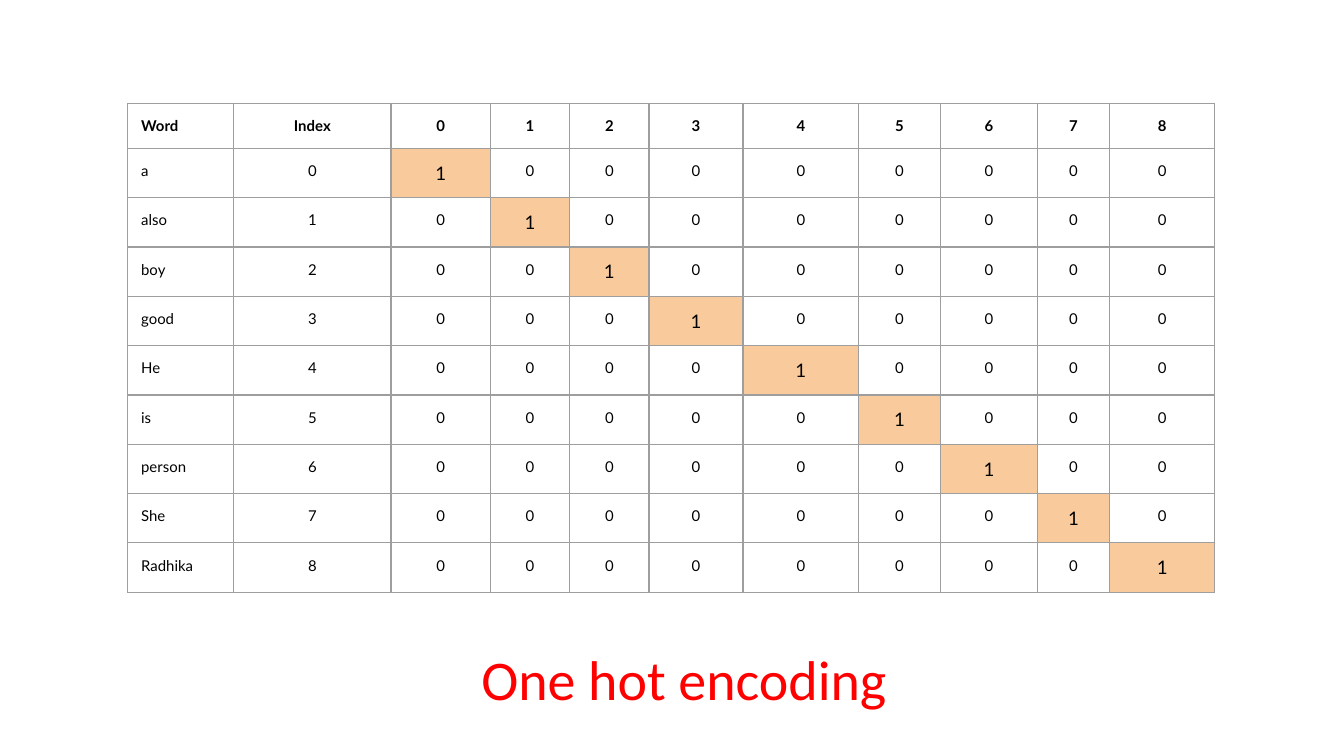
from lxml import etree
from pptx import Presentation
from pptx.dml.color import RGBColor
from pptx.enum import text
from pptx.oxml import ns
from pptx.util import Inches, Pt

BLACK = RGBColor(0x00, 0x00, 0x00)
RED = RGBColor(0xFF, 0x00, 0x00)
ORANGE = RGBColor(0xF9, 0xCB, 0x9C)
GREY = RGBColor(0x9E, 0x9E, 0x9E)

WORDS = ["a", "also", "boy", "good", "He", "is", "person", "She", "Radhika"]
WIDTHS = [0.79, 1.17, 0.74, 0.59, 0.59, 0.7, 0.86, 0.61, 0.72, 0.54, 0.78]
MARGINS = ("margin_left", "margin_top", "margin_right", "margin_bottom")


def write(p, value, color, formats):
    r = p.add_run()
    r.text = value
    for name, setting in formats.items():
        setattr(r.font, name, setting)
    r.font.color.rgb = color


def add_borders(cell):
    tcPr = cell._tc.get_or_add_tcPr()
    for i, side in enumerate(("a:lnL", "a:lnR", "a:lnT", "a:lnB")):
        ln = etree.Element(ns.qn(side), w=str(Pt(0.75)))
        fill = etree.SubElement(ln, ns.qn("a:solidFill"))
        etree.SubElement(fill, ns.qn("a:srgbClr"), val=str(GREY))
        tcPr.insert(i, ln)


prs = Presentation()
prs.slide_width = Inches(10)
prs.slide_height = Inches(10) * 9 // 16
s = prs.slides.add_slide(prs.slide_layouts[6])

rows = [["Word", "Index"] + [str(i) for i in range(len(WORDS))]]
for i, word in enumerate(WORDS):
    rows.append([word, str(i)] + ["1" if j == i else "0" for j in range(len(WORDS))])

sp = s.shapes.add_table(len(rows), len(WIDTHS), Inches(0.95), Inches(0.77), Inches(8.1), Inches(3.63))
table = sp.table
table.first_row = False
table.horz_banding = False
for column, width in zip(table.columns, WIDTHS):
    column.width = Inches(width)

for i, values in enumerate(rows):
    table.rows[i].height = Inches(0.25)
    for j, value in enumerate(values):
        cell = table.cell(i, j)
        hot = i > 0 and j == i + 1
        for margin in MARGINS:
            setattr(cell, margin, Inches(0.1))
        if hot:
            cell.fill.solid()
            cell.fill.fore_color.rgb = ORANGE
        else:
            cell.fill.background()
        add_borders(cell)
        p = cell.text_frame.paragraphs[0]
        p.alignment = text.PP_ALIGN.CENTER if j else text.PP_ALIGN.LEFT
        write(p, value, BLACK, {"name": "Lato", "size": Pt(10 if hot else 8), "bold": i == 0})
sp.width = Inches(8.1)
sp.height = Inches(3.63)

sp = s.shapes.add_textbox(Inches(1.12), Inches(4.81), Inches(7.94), Inches(0.47))
tf = sp.text_frame
for name, setting in {"word_wrap": True, "vertical_anchor": text.MSO_ANCHOR.MIDDLE}.items():
    setattr(tf, name, setting)
for margin in MARGINS:
    setattr(tf, margin, Inches(0.1))
p = tf.paragraphs[0]
p.alignment = text.PP_ALIGN.CENTER
write(p, "One hot encoding", RED, {"name": "Calibri", "size": Pt(30)})

prs.save("out.pptx")
